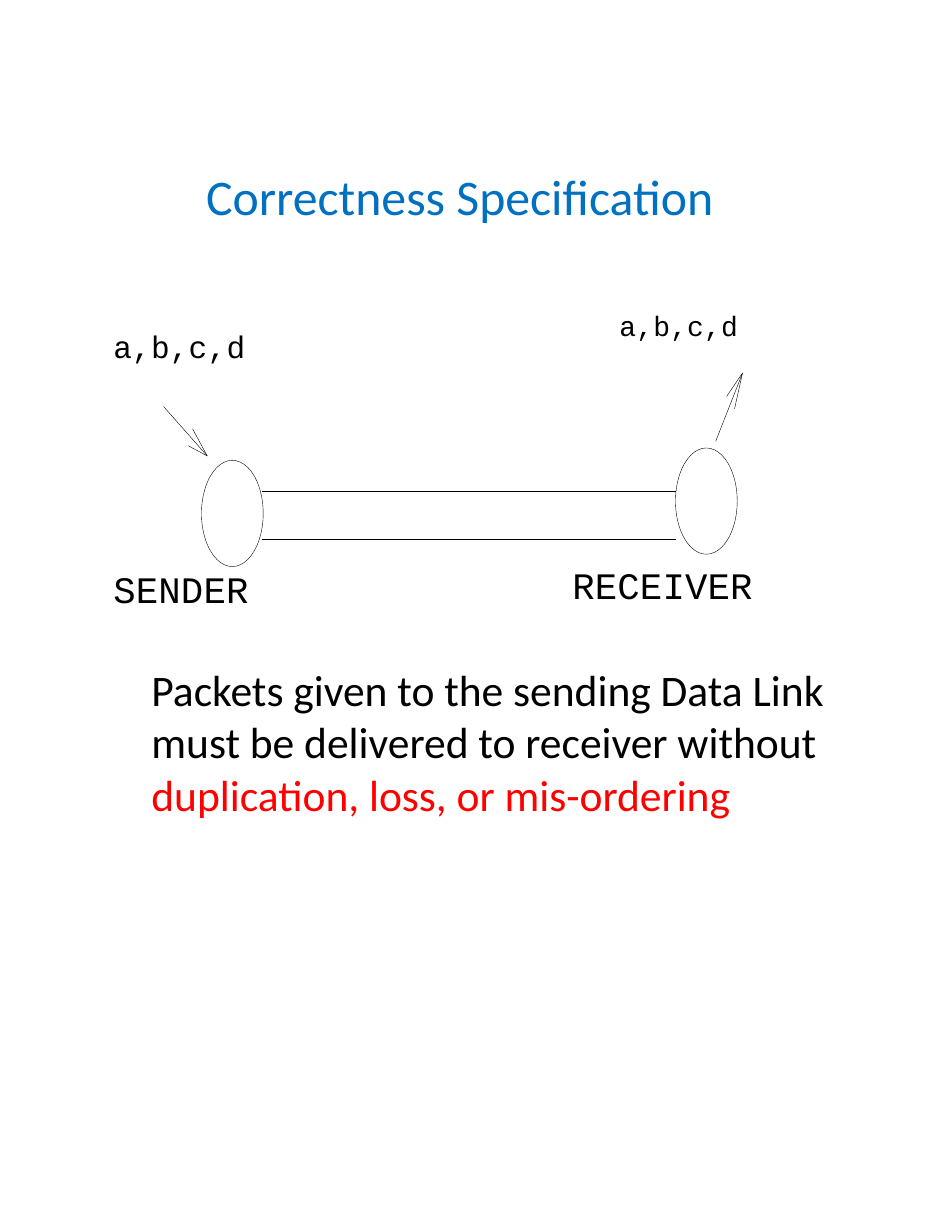
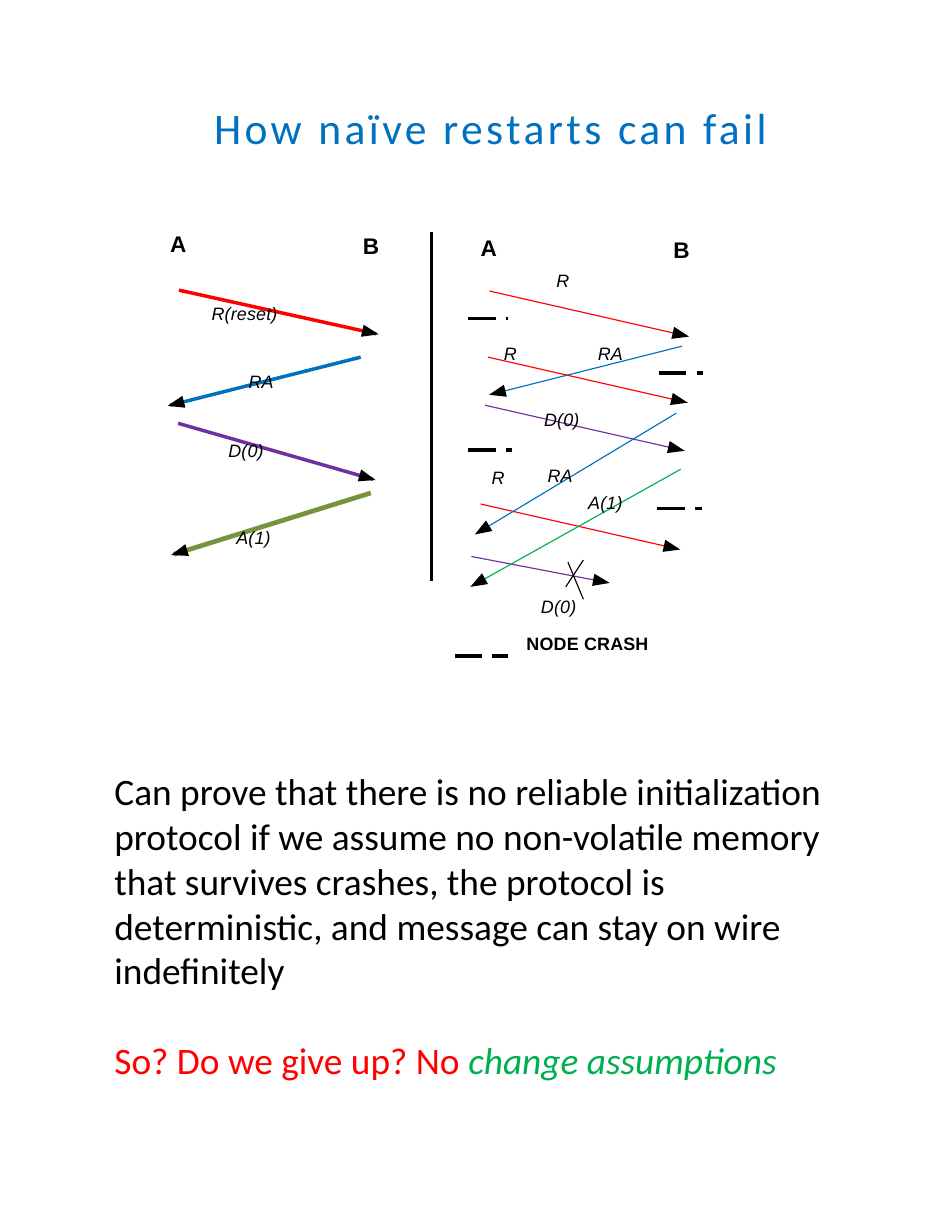
from math import hypot

from lxml.etree import SubElement
from pptx import Presentation
from pptx.dml.color import RGBColor
from pptx.enum.dml import MSO_LINE
from pptx.enum.shapes import MSO_CONNECTOR, MSO_SHAPE
from pptx.enum.text import MSO_ANCHOR, MSO_AUTO_SIZE, PP_ALIGN
from pptx.oxml.ns import qn
from pptx.util import Cm, Pt

BLACK, RED, BLUE = "000000", "FF0000", "0070C0"
PURPLE, GREEN, OLIVE = "7030A0", "00B050", "77933C"
HAIRLINE, THIN, MEDIUM, BOLD_LINE = 0.25, 0.73, 2.25, 2.2
MESSAGE_COLOURS = {"R": RED, "R(reset)": RED, "RA": BLUE, "D(0)": PURPLE, "A(1)": GREEN}
MESSAGE_WIDTHS = {"R": 0.46, "R(reset)": 1.9, "RA": 0.79, "D(0)": 1.07, "A(1)": 1.04}


def rgb(colour):
    return RGBColor.from_string(colour)


class Deck:
    """Holds the shared style and the slide being drawn."""

    def __init__(self):
        self.prs = Presentation()
        self.prs.slide_width, self.prs.slide_height = Cm(21.59), Cm(27.94)
        self.slide = None

    def new_slide(self):
        self.slide = self.prs.slides.add_slide(self.prs.slide_layouts[1])

    def run(self, paragraph, text, size, colour=BLACK, font="Calibri",
            bold=False, italic=False, spacing=0):
        run = paragraph.add_run()
        run.text = text
        run.font.name, run.font.size = font, Pt(size)
        run.font.bold, run.font.italic = bold, italic
        run.font.color.rgb = rgb(colour)
        if spacing:
            run.font._element.set("spc", str(round(spacing * 100)))

    def frame(self, shape, box):
        shape.left, shape.top, shape.width, shape.height = map(Cm, box)
        frame = shape.text_frame
        frame.word_wrap = True
        frame.auto_size = MSO_AUTO_SIZE.NONE
        frame.vertical_anchor = MSO_ANCHOR.TOP
        return frame

    def title(self, text, box, size, indent=0, spacing=0):
        paragraph = self.frame(self.slide.shapes.title, box).paragraphs[0]
        paragraph.alignment = PP_ALIGN.LEFT
        paragraph._p.get_or_add_pPr().set("marL", str(Cm(indent)))
        self.run(paragraph, text, size, BLUE, spacing=spacing)

    def body(self, paragraphs, box, size, gap=0):
        """Each paragraph is a list of (text, colour, italic) runs."""
        frame = self.frame(self.slide.placeholders[1], box)
        for number, runs in enumerate(paragraphs):
            paragraph = frame.add_paragraph() if number else frame.paragraphs[0]
            paragraph.space_before = Pt(gap if number else 0)
            properties = paragraph._p.get_or_add_pPr()
            properties.set("marL", "0")
            properties.set("indent", "0")
            SubElement(properties, qn("a:buNone"))
            for text, colour, italic in runs:
                self.run(paragraph, text, size, colour, italic=italic)

    def label(self, text, x, y, width, height, size, font, **style):
        box = self.slide.shapes.add_textbox(0, 0, 0, 0)
        frame = self.frame(box, (x, y, width, height))
        frame.margin_left = frame.margin_top = 0
        frame.margin_right = frame.margin_bottom = 0
        self.run(frame.paragraphs[0], text, size, font=font, spacing=0.1, **style)

    def line(self, start, end, colour=BLACK, width=THIN, dash=None):
        line = self.slide.shapes.add_connector(
            MSO_CONNECTOR.STRAIGHT, *map(Cm, (*start, *end)))
        line.line.color.rgb, line.line.width = rgb(colour), Pt(width)
        if dash:
            line.line.dash_style = dash
        SubElement(line._element.spPr, qn("a:effectLst"))

    def outline(self, shape, width=HAIRLINE):
        shape.shadow.inherit = False
        shape.fill.background()
        shape.line.color.rgb, shape.line.width = rgb(BLACK), Pt(width)

    def oval(self, x, y, width, height):
        self.outline(self.slide.shapes.add_shape(
            MSO_SHAPE.OVAL, *map(Cm, (x, y, width, height))))

    def freeform(self, points, close):
        first, *rest = [(Cm(x), Cm(y)) for x, y in points]
        builder = self.slide.shapes.build_freeform(*first)
        builder.add_line_segments(rest, close=close)
        return builder.convert_to_shape()

    def open_arrow(self, start, tip, barbs):
        self.line(start, tip, width=HAIRLINE)
        self.outline(self.freeform([barbs[0], tip, barbs[1]], close=False))

    def message_arrow(self, start, end, colour, width):
        """A coloured line with a black head that reaches just past its end."""
        self.line(start, end, colour, width)
        length = hypot(end[0] - start[0], end[1] - start[1])
        dx, dy = ((b - a) / length for a, b in zip(start, end))

        def point(along, across):
            return end[0] + along * dx - across * dy, end[1] + along * dy + across * dx

        head = self.freeform([point(0.06, 0), point(-0.32, 0.14), point(-0.32, -0.14)], True)
        head.shadow.inherit = False
        head.fill.solid()
        head.fill.fore_color.rgb = rgb(BLACK)
        head.line.fill.background()

    def message(self, name, start, end, label_at, colour=None, width=THIN):
        self.message_arrow(start, end, colour or MESSAGE_COLOURS[name], width)
        self.label(name, *label_at, MESSAGE_WIDTHS[name], 0.89, 11.5, "Arial", italic=True)

    def node_crash(self, x, y, length=1.0):
        self.line((x, y), (x + length, y), width=BOLD_LINE, dash=MSO_LINE.LONG_DASH)


def correctness_slide(deck):
    deck.new_slide()
    deck.title("Correctness Specification", (4.42, 3.63, 12.8, 1.63), 32)

    # Sender and receiver joined by the link
    for node_x, node_y in ((4.57, 10.44), (15.32, 10.16)):
        deck.oval(node_x, node_y, 1.4, 2.41)
    for link_y in (11.13, 12.22):
        deck.line((5.94, link_y), (15.32, link_y), width=HAIRLINE)

    # Packets in and out
    deck.open_arrow((3.71, 9.22), (4.7, 10.34), [(4.37, 9.73), (4.27, 10.11)])
    deck.open_arrow((16.23, 10.01), (16.84, 8.46), [(16.48, 8.99), (16.66, 9.27)])

    for text, x, y, width, height, size in (
            ("a,b,c,d", 2.57, 7.42, 3.91, 0.86, 20),
            ("a,b,c,d", 14.05, 6.99, 4.09, 0.76, 18),
            ("SENDER", 2.57, 12.83, 3.91, 1.02, 24),
            ("RECEIVER", 12.98, 12.75, 5.28, 1.02, 24)):
        deck.label(text, x, y, width, height, size, "Courier New")

    deck.body([[
        ("Packets given to the sending Data Link must be delivered to receiver without ",
         BLACK, False),
        ("duplication, loss, or mis-ordering", RED, False),
    ]], (3.18, 14.91, 17.22, 3.84), 28)


def restarts_slide(deck):
    deck.new_slide()
    deck.title("How naïve restarts can fail", (1.63, 2.16, 16.31, 1.45), 28,
               indent=2.97, spacing=2.2)

    # Node names above both time lines, with the divider between
    for name, x, y in (("A", 3.86, 5.21), ("B", 8.23, 5.26),
                       ("A", 10.9, 5.31), ("B", 15.27, 5.36)):
        deck.label(name, x, y, 0.53, 1.12, 14.5, "Arial", bold=True)
    deck.line((9.78, 5.26), (9.78, 13.18), width=BOLD_LINE)

    # Normal restart
    deck.message("R(reset)", (4.06, 6.58), (8.53, 7.57), (4.8, 6.86), width=MEDIUM)
    deck.message("RA", (8.18, 8.1), (3.86, 9.19), (5.64, 8.41), width=MEDIUM)
    deck.message("D(0)", (4.04, 9.6), (8.46, 10.87), (5.18, 9.98), width=MEDIUM)
    deck.message("A(1)", (8.41, 11.18), (3.94, 12.57), (5.36, 11.94), OLIVE, 3)

    # Restart with crashes
    for name, start, end, label_at in (
            ("R", (11.1, 6.6), (15.57, 7.62), (12.62, 6.12)),
            ("RA", (15.47, 7.85), (11.15, 8.94), (13.56, 7.77)),
            ("R", (11.07, 8.1), (15.54, 9.12), (11.43, 7.77)),
            ("D(0)", (11.0, 9.19), (15.47, 10.21), (12.34, 9.27)),
            ("R", (10.9, 11.43), (15.37, 12.45), (11.15, 10.59)),
            ("D(0)", (10.69, 12.62), (13.77, 13.21), (12.27, 13.51)),
            ("A(1)", (15.44, 10.64), (10.72, 13.28), (13.34, 11.15)),
            ("RA", (15.34, 9.37), (10.82, 12.09), (12.42, 10.54))):
        deck.message(name, start, end, label_at)

    # Cross on the lost data message
    deck.line((12.88, 12.75), (13.23, 13.59))
    deck.line((13.23, 12.7), (12.83, 13.31))

    # Crash marks and their legend
    deck.node_crash(10.62, 7.22, 0.91)
    for x, y in ((14.94, 8.46), (10.62, 10.21), (14.91, 11.53)):
        deck.node_crash(x, y)
    deck.node_crash(10.31, 14.88, 1.22)
    deck.label("NODE CRASH", 11.94, 14.35, 3.45, 0.89, 11.5, "Arial", bold=True)

    deck.body([
        [("Can prove that there is no reliable initialization protocol if we assume "
          "no non-volatile memory that survives crashes, the protocol is deterministic, "
          "and message can stay on wire indefinitely", BLACK, False)],
        [("So? Do we give up? No ", RED, False), ("change assumptions", GREEN, True)],
    ], (2.34, 17.3, 16.56, 7.44), 24, gap=29)


def main():
    deck = Deck()
    correctness_slide(deck)
    restarts_slide(deck)
    deck.prs.save("out.pptx")


if __name__ == "__main__":
    main()
